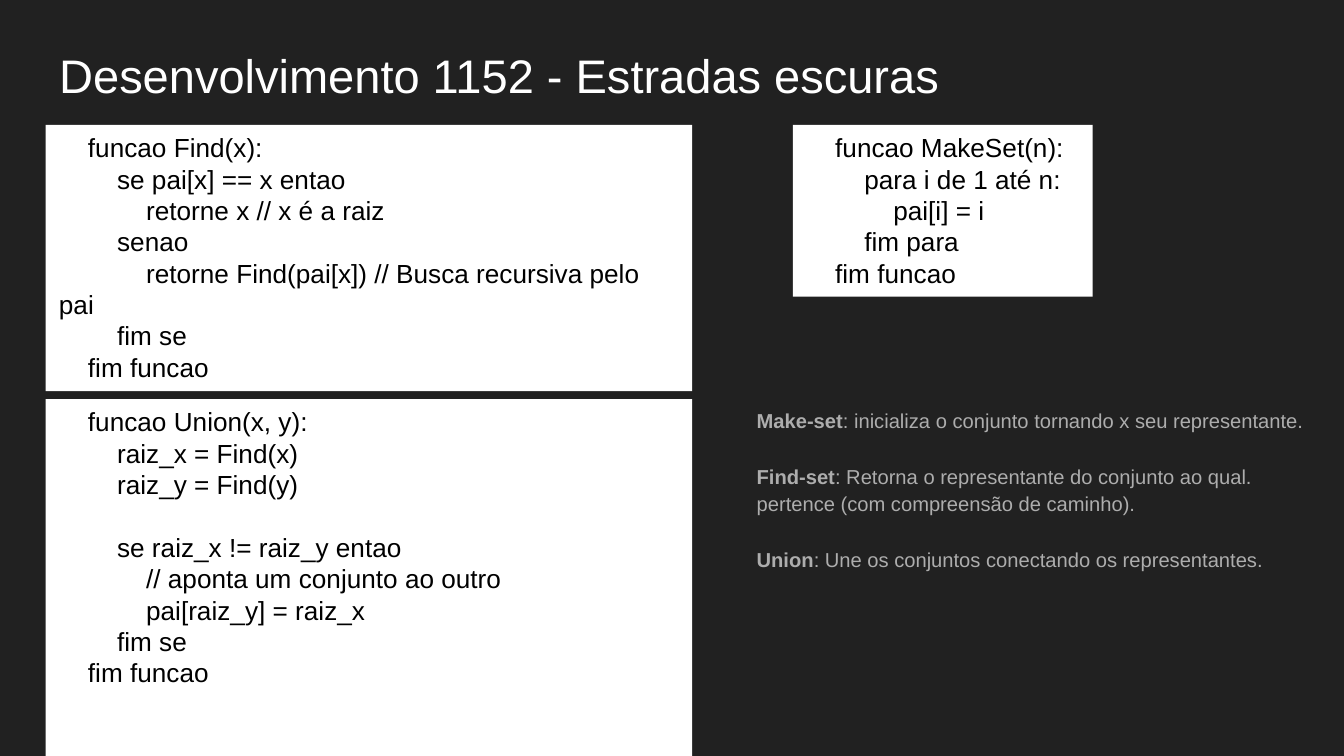
from pptx import Presentation
from pptx import util as u
from pptx.dml.color import RGBColor
from pptx.enum import shapes, text

WIDTH = u.Inches(10)
HEIGHT = WIDTH * 9 // 16
FONT = "Arial"
NIGHT = RGBColor(0x21, 0x21, 0x21)
WHITE = RGBColor(0xFF, 0xFF, 0xFF)
BLACK = RGBColor(0x00, 0x00, 0x00)
GREY = RGBColor(0xAD, 0xAD, 0xAD)
INSET = u.Inches(0.1)
CODE_STEP = u.Pt(15.57)
CODE_GAP = u.Pt(16.8)
NOTE_GAP = u.Pt(14.9)

LEFT, TOP, COLUMN = 3.4, 16.53, 48.1
TITLE_BOX = (LEFT, 4.4, 93.2, 11.2)
FIND_BOX = (LEFT, TOP, COLUMN, 35.2)
UNION_BOX = (LEFT, 52.8, COLUMN, 47.29)
MAKE_BOX = (59, TOP, 22.3, 22.7)
NOTES_BOX = (54.12, 51.76, 45.88, 32.36)

FIND = [
    (1, "funcao Find(x):"),
    (2, "se pai[x] == x entao"),
    (3, "retorne x // x é a raiz"),
    (2, "senao"),
    (3, "retorne Find(pai[x]) // Busca recursiva pelo pai"),
    (2, "fim se"),
    (1, "fim funcao"),
]
UNION = [
    (1, "funcao Union(x, y):"),
    (2, "raiz_x = Find(x)"),
    (2, "raiz_y = Find(y)"),
    (2, "se raiz_x != raiz_y entao"),
    (3, "// aponta um conjunto ao outro"),
    (3, "pai[raiz_y] = raiz_x"),
    (2, "fim se"),
    (1, "fim funcao"),
]
MAKE_SET = [
    (1, "funcao MakeSet(n):"),
    (2, "para i de 1 até n:"),
    (3, "pai[i] = i"),
    (2, "fim para"),
    (1, "fim funcao"),
]
NOTES = [
    ("Make-set", ": inicializa o conjunto tornando x seu representante."),
    ("Find-set", ": Retorna o representante do conjunto ao qual."),
    ("", "pertence (com compreensão de caminho)."),
    ("Union", ": Une os conjuntos conectando os representantes."),
]


def place(box):
    """Turn percentages of the slide into left, top, width and height."""
    return [round(share * side / 100)
            for share, side in zip(box, (WIDTH, HEIGHT, WIDTH, HEIGHT))]


def set_frame(frame, inset):
    """Wrap a text frame from its top with the given vertical inset."""
    frame.word_wrap = True
    frame.auto_size = text.MSO_AUTO_SIZE.NONE
    frame.vertical_anchor = text.MSO_ANCHOR.TOP
    frame.margin_left = frame.margin_right = INSET
    frame.margin_top = frame.margin_bottom = inset


def style(para, size, color):
    """Left-align a paragraph and set its font."""
    para.alignment = text.PP_ALIGN.LEFT
    para.font.name = FONT
    para.font.size = u.Pt(size)
    para.font.color.rgb = color


def indent(para, margin, first):
    """Set the left margin and first-line indent of a paragraph."""
    properties = para._p.get_or_add_pPr()
    properties.set("marL", str(int(margin)))
    properties.set("indent", str(int(first)))


def paragraphs(frame, items):
    """Yield one paragraph of the frame with each item."""
    for number, item in enumerate(items):
        yield (frame.add_paragraph() if number else frame.paragraphs[0]), item


def add_title(page, box, words):
    """Fill and place the title placeholder."""
    title = page.shapes.title
    title.left, title.top, title.width, title.height = place(box)
    set_frame(title.text_frame, INSET)
    title.text_frame.text = words
    style(title.text_frame.paragraphs[0], 25.2, WHITE)


def add_code(page, box, lines, grows=False, gap_before=None):
    """Draw a white panel of indented pseudocode."""
    panel = page.shapes.add_shape(shapes.MSO_SHAPE.RECTANGLE, *place(box))
    panel.shadow.inherit = False
    panel.fill.solid()
    panel.fill.fore_color.rgb = WHITE
    panel.line.fill.background()
    frame = panel.text_frame
    set_frame(frame, INSET // 2)
    if grows:
        frame.auto_size = text.MSO_AUTO_SIZE.SHAPE_TO_FIT_TEXT
    for para, (level, words) in paragraphs(frame, lines):
        para.text = words
        style(para, 14, BLACK)
        indent(para, 0, level * CODE_STEP)
        if words == gap_before:
            para.space_before = CODE_GAP


def add_notes(page, box, notes):
    """Write the definitions, each led by a bold term."""
    frame = page.shapes.add_textbox(*place(box)).text_frame
    set_frame(frame, INSET)
    for para, (term, words) in paragraphs(frame, notes):
        style(para, 10.8, GREY)
        indent(para, u.Inches(0.12), 0)
        para.line_spacing = 1.15
        if term:
            span = para.add_run()
            span.text = term
            span.font.bold = True
            if term != notes[0][0]:
                para.space_before = NOTE_GAP
        para.add_run().text = words


def main():
    """Build and save the deck."""
    deck = Presentation()
    deck.slide_width, deck.slide_height = WIDTH, HEIGHT
    page = deck.slides.add_slide(deck.slide_layouts.get_by_name("Title Only"))
    page.background.fill.solid()
    page.background.fill.fore_color.rgb = NIGHT
    add_title(page, TITLE_BOX, "Desenvolvimento 1152 - Estradas escuras")
    add_code(page, FIND_BOX, FIND, grows=True)
    add_code(page, UNION_BOX, UNION, gap_before="se raiz_x != raiz_y entao")
    add_code(page, MAKE_BOX, MAKE_SET, grows=True)
    add_notes(page, NOTES_BOX, NOTES)
    deck.save("out.pptx")


if __name__ == "__main__":
    main()
